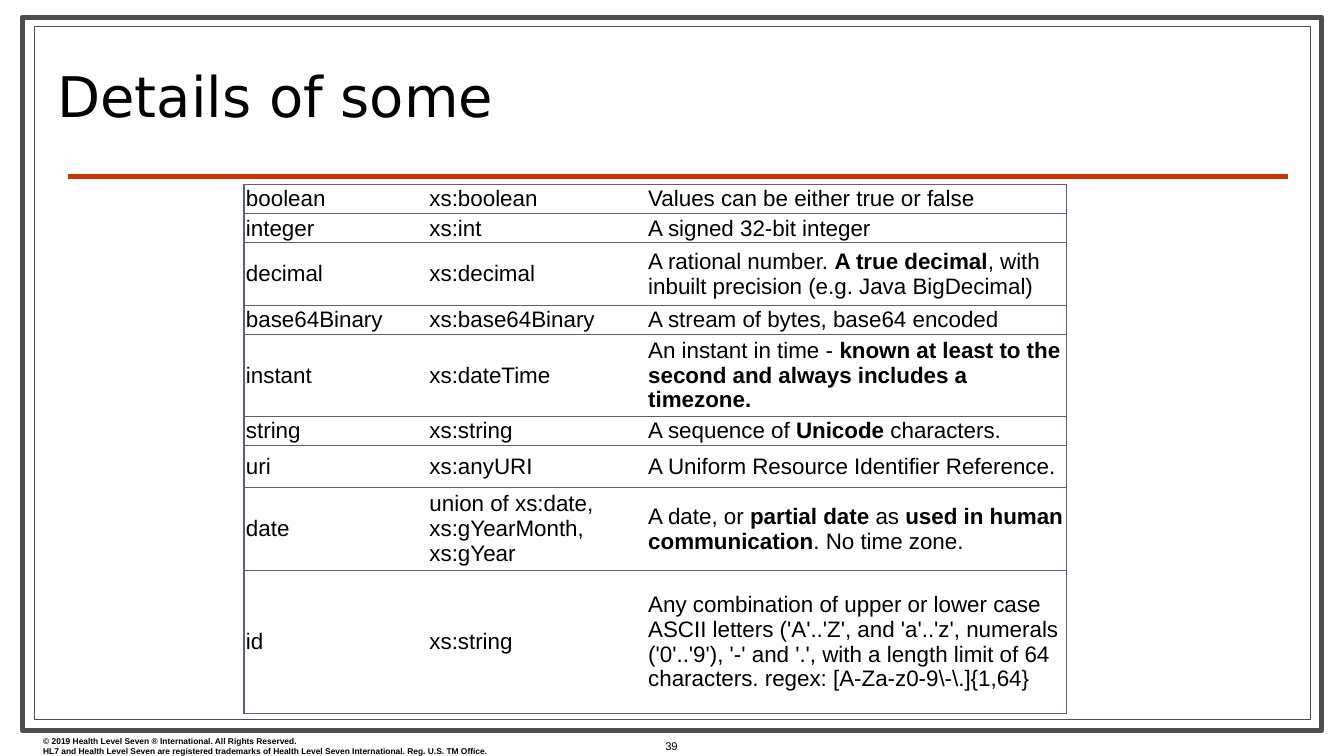
from dataclasses import dataclass

from lxml import etree
from pptx import Presentation
from pptx import util as u
from pptx.dml import color
from pptx.enum import shapes, text
from pptx.oxml import ns

PX = 9144


@dataclass(frozen=True)
class Theme:
    paper: str = "FFFFFF"
    ink: str = "000000"
    frame: str = "4D4D4D"
    accent: str = "CC3300"
    grid: str = "5C5C8A"
    heading_font: str = "DejaVu Sans"
    body_font: str = "Arial"
    heading_size: int = 40
    table_size: int = 16
    number_size: int = 8
    legal_size: int = 6


def px(*lengths):
    return [u.Emu(length * PX) for length in lengths]


def rgb(value):
    return color.RGBColor.from_string(value)


def assign(target, values):
    for name, value in values.items():
        setattr(target, name, value)


class Deck:
    def __init__(self, theme, width, height):
        self.theme = theme
        self.presentation = Presentation()
        size = px(width, height)
        assign(self.presentation, dict(zip(("slide_width", "slide_height"), size)))
        self.slide = self.presentation.slides.add_slide(
            self.presentation.slide_layouts[5])

    def add_runs(self, paragraph, wording, size, font=None, bold=False):
        for index, part in enumerate(wording.split("**")):
            if part:
                run = paragraph.add_run()
                run.text = part
                assign(run.font, {
                    "size": u.Pt(size),
                    "name": font or self.theme.body_font,
                    "bold": bold or index % 2 == 1,
                })
                run.font.color.rgb = rgb(self.theme.ink)

    def border(self, box, weight):
        panel = self.slide.shapes.add_shape(shapes.MSO_SHAPE.RECTANGLE, *px(*box))
        panel.shadow.inherit = False
        panel.fill.solid()
        panel.fill.fore_color.rgb = rgb(self.theme.paper)
        panel.line.color.rgb = rgb(self.theme.frame)
        panel.line.width = u.Pt(weight)

    def rule(self, left, right, y, weight):
        divider = self.slide.shapes.add_connector(
            shapes.MSO_CONNECTOR.STRAIGHT, *px(left, y, right, y))
        divider.line.color.rgb = rgb(self.theme.accent)
        divider.line.width = u.Pt(weight)
        etree.SubElement(divider.element.spPr, ns.qn("a:effectLst"))

    def title(self, box, wording):
        heading = self.slide.shapes.title
        assign(heading, dict(zip(("left", "top", "width", "height"), px(*box))))
        assign(heading.text_frame, {
            "vertical_anchor": text.MSO_ANCHOR.MIDDLE,
            "auto_size": text.MSO_AUTO_SIZE.NONE,
            "word_wrap": True,
        })
        paragraph = heading.text_frame.paragraphs[0]
        assign(paragraph, {"alignment": text.PP_ALIGN.LEFT, "line_spacing": 0.8})
        self.add_runs(paragraph, wording, self.theme.heading_size,
                      self.theme.heading_font)
        heading.element.getparent().append(heading.element)

    def label(self, box, lines, size, bold=False, wrap=True):
        frame = self.slide.shapes.add_textbox(*px(*box)).text_frame
        frame.word_wrap = wrap
        for index, line in enumerate(lines):
            paragraph = frame.add_paragraph() if index else frame.paragraphs[0]
            self.add_runs(paragraph, line, size, bold=bold)

    def edges(self, cell, visible):
        properties = cell._tc.get_or_add_tcPr()
        for index, side in enumerate("LRTB"):
            edge = etree.Element(ns.qn(f"a:ln{side}"), w=str(u.Pt(1)))
            if side in visible:
                fill = etree.SubElement(edge, ns.qn("a:solidFill"))
                etree.SubElement(fill, ns.qn("a:srgbClr"), val=self.theme.grid)
            else:
                etree.SubElement(edge, ns.qn("a:noFill"))
            properties.insert(index, edge)

    def table(self, left, top, widths, heights, rows):
        grid = self.slide.shapes.add_table(
            len(rows), len(widths),
            *px(left, top, sum(widths), sum(heights))).table
        assign(grid, {"first_row": False, "horz_banding": False})
        for column, width in zip(grid.columns, px(*widths)):
            column.width = width
        for row, height in zip(grid.rows, px(*heights)):
            row.height = height
        side, edge = px(2, 1)
        cell_format = {
            "margin_left": side, "margin_right": side,
            "margin_top": edge, "margin_bottom": edge,
            "vertical_anchor": text.MSO_ANCHOR.MIDDLE,
        }
        outer = {0: "LTB", len(widths) - 1: "RTB"}
        for r, row in enumerate(rows):
            for c, wording in enumerate(row):
                cell = grid.cell(r, c)
                assign(cell, cell_format)
                cell.fill.solid()
                cell.fill.fore_color.rgb = rgb(self.theme.paper)
                self.edges(cell, outer.get(c, "TB"))
                self.add_runs(cell.text_frame.paragraphs[0], wording,
                              self.theme.table_size)


DATATYPES = [
    ("boolean", "xs:boolean", "Values can be either true or false"),
    ("integer", "xs:int", "A signed 32-bit integer"),
    ("decimal", "xs:decimal",
     "A rational number. **A true decimal**, with inbuilt precision "
     "(e.g. Java BigDecimal)"),
    ("base64Binary", "xs:base64Binary", "A stream of bytes, base64 encoded"),
    ("instant", "xs:dateTime",
     "An instant in time - **known at least to the second and always "
     "includes a timezone.**"),
    ("string", "xs:string", "A sequence of **Unicode** characters."),
    ("uri", "xs:anyURI", "A Uniform Resource Identifier Reference."),
    ("date", "union of xs:date, xs:gYearMonth, xs:gYear",
     "A date, or **partial date **as **used in human communication**. "
     "No time zone."),
    ("id", "xs:string",
     "Any combination of upper or lower case ASCII letters ('A'..'Z', and "
     "'a'..'z', numerals ('0'..'9'), '-' and '.', with a length limit of 64 "
     r"characters. regex: [A-Za-z0-9\-\.]{1,64}"),
]
ROW_HEIGHTS = [29, 29, 62, 29, 81, 29, 42, 82, 142]
LEGAL = [
    "© 2019 Health Level Seven ® International. All Rights Reserved.",
    "HL7 and Health Level Seven are registered trademarks of Health Level "
    "Seven International. Reg. U.S. TM Office.",
]


def main():
    theme = Theme()
    deck = Deck(theme, 1333, 750)
    deck.border((22, 17, 1289, 708), 3.5)
    deck.border((34, 26, 1266, 688), 0.75)
    deck.rule(67, 1277, 175, 3)
    deck.label((33, 725, 644, 30), LEGAL, theme.legal_size, bold=True)
    deck.label((650, 729, 34, 24), ["39"], theme.number_size, wrap=False)
    deck.title((47, 36, 955, 129), "Details of some")
    deck.table(242, 183, [182, 217, 417], ROW_HEIGHTS, DATATYPES)
    deck.presentation.save("out.pptx")


if __name__ == "__main__":
    main()
